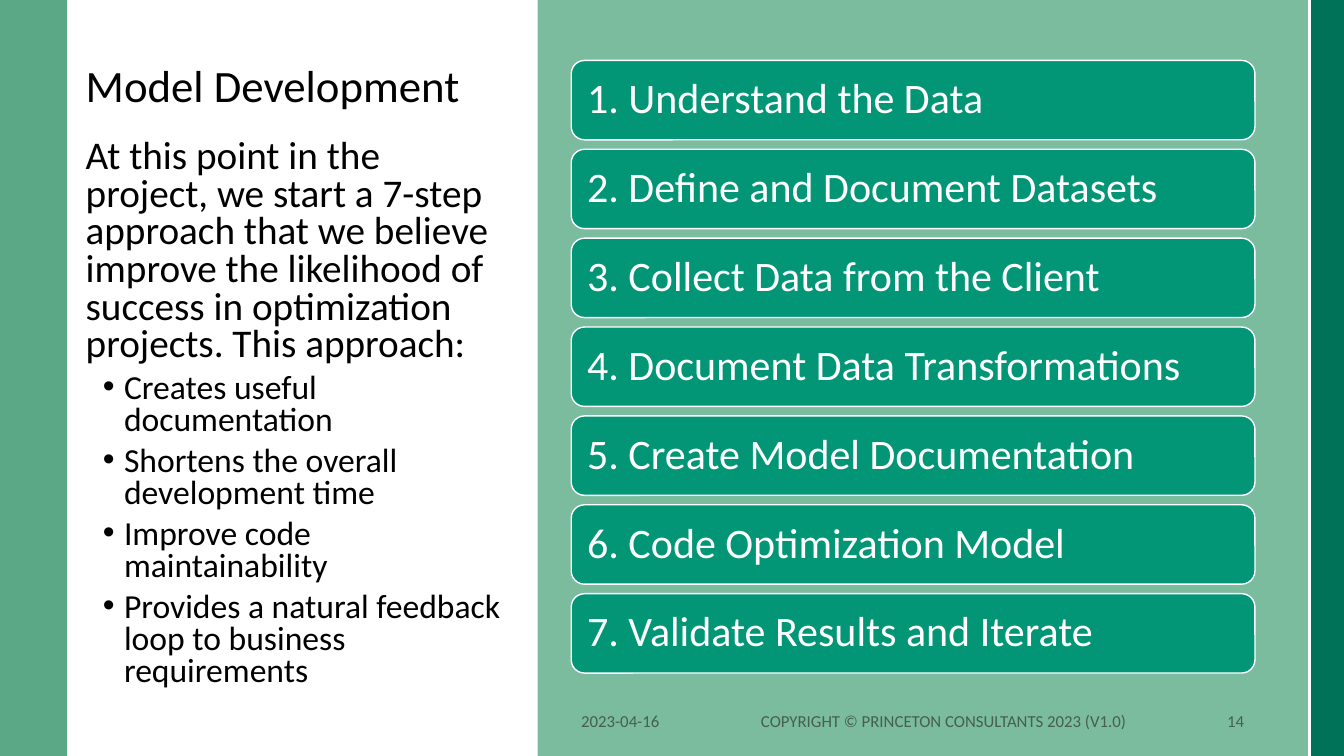
import pptx
import pptx.util
import pptx.dml.color
import pptx.enum.shapes
import pptx.enum.text
import pptx.oxml.ns
from lxml import etree

SHAPE = pptx.enum.shapes.MSO_SHAPE
ALIGN = pptx.enum.text.PP_ALIGN
ANCHOR = pptx.enum.text.MSO_ANCHOR
QN = pptx.oxml.ns.qn

INTRO = ("At this point in the project, we start a 7-step approach that we believe "
         "improve the likelihood of success in optimization projects. This approach:")
BENEFITS = [
    "Creates useful documentation",
    "Shortens the overall development time",
    "Improve code maintainability",
    "Provides a natural feedback loop to business requirements",
]
STEPS = [
    "Understand the Data",
    "Define and Document Datasets",
    "Collect Data from the Client",
    "Document Data Transformations",
    "Create Model Documentation",
    "Code Optimization Model",
    "Validate Results and Iterate",
]


def rgb(value):
    return pptx.dml.color.RGBColor.from_string(value)


def apply(target, values):
    for key, value in values.items():
        setattr(target, key, value)


class Deck:
    COLUMNS, ROWS = 160, 90
    FONT = "Calibri"
    INK, WHITE, MUTED = "000000", "FFFFFF", "455F51"
    EDGE, DARK, PANEL, STEP = "4A9F7B", "007257", "7BBB9E", "029676"

    def __init__(self):
        self.presentation = pptx.Presentation()
        apply(self.presentation, {"slide_width": pptx.util.Inches(13.33),
                                  "slide_height": pptx.util.Inches(7.5)})
        self.slide = self.presentation.slides.add_slide(self.presentation.slide_layouts[1])

    def x(self, columns):
        return round(self.presentation.slide_width * columns / self.COLUMNS)

    def y(self, rows):
        return round(self.presentation.slide_height * rows / self.ROWS)

    def box(self, left, top, width, height):
        return self.x(left), self.y(top), self.x(width), self.y(height)

    def add_words(self, paragraph, words, size, color, **layout):
        apply(paragraph, layout)
        run = paragraph.add_run()
        run.text = words
        apply(run.font, {"name": self.FONT, "size": pptx.util.Pt(size)})
        run.font.color.rgb = rgb(color)

    def band(self, left, width, color, opacity=100):
        band = self.slide.shapes.add_shape(SHAPE.RECTANGLE, *self.box(left, 0, width, self.ROWS))
        band.shadow.inherit = False
        band.fill.solid()
        band.fill.fore_color.rgb = rgb(color)
        band.line.fill.background()
        if opacity < 100:
            tint = band._element.spPr.find(".//" + QN("a:srgbClr"))
            etree.SubElement(tint, QN("a:alpha"), val=str(opacity * 1000))

    def divider(self, column):
        rule = self.slide.shapes.add_connector(
            pptx.enum.shapes.MSO_CONNECTOR.STRAIGHT,
            self.x(column), 0, self.x(column), self.y(self.ROWS))
        rule.line.color.rgb = rgb(self.WHITE)
        rule.line.width = pptx.util.Pt(1.5)
        etree.SubElement(rule._element.spPr, QN("a:effectLst"))

    def place(self, holder, area, anchor):
        apply(holder, dict(zip(("left", "top", "width", "height"), self.box(*area))))
        apply(holder.text_frame, {"word_wrap": True, "vertical_anchor": anchor,
                                  "auto_size": pptx.enum.text.MSO_AUTO_SIZE.NONE})
        return holder.text_frame

    def title(self, words, area):
        frame = self.place(self.slide.shapes.title, area, ANCHOR.BOTTOM)
        self.add_words(frame.paragraphs[0], words, 32, self.INK,
                       alignment=ALIGN.LEFT, line_spacing=0.9)

    def bullet(self, paragraph, indent, hanging, mark=None):
        properties = paragraph._p.get_or_add_pPr()
        properties.set("marL", str(pptx.util.Inches(indent)))
        properties.set("indent", str(-pptx.util.Inches(hanging)))
        if mark:
            etree.SubElement(properties, QN("a:buChar"), char=mark)
        else:
            etree.SubElement(properties, QN("a:buNone"))

    def body(self, intro, benefits, area):
        frame = self.place(self.slide.placeholders[1], area, ANCHOR.TOP)
        opening = frame.paragraphs[0]
        self.bullet(opening, 0, 0)
        self.add_words(opening, intro, 28, self.INK,
                       line_spacing=0.8, space_before=pptx.util.Pt(0))
        for benefit in benefits:
            item = frame.add_paragraph()
            item.level = 1
            self.bullet(item, 0.38, 0.21, "•")
            self.add_words(item, benefit, 24, self.INK,
                           line_spacing=0.8, space_before=pptx.util.Pt(6))

    def step(self, words, area):
        step = self.slide.shapes.add_shape(SHAPE.ROUNDED_RECTANGLE, *self.box(*area))
        step.shadow.inherit = False
        step.fill.solid()
        step.fill.fore_color.rgb = rgb(self.STEP)
        step.line.color.rgb = rgb(self.WHITE)
        step.line.width = pptx.util.Pt(1)
        inset = pptx.util.Inches(0.12)
        apply(step.text_frame, {"word_wrap": True, "vertical_anchor": ANCHOR.MIDDLE,
                                "margin_left": inset, "margin_right": inset,
                                "margin_top": inset, "margin_bottom": inset})
        self.add_words(step.text_frame.paragraphs[0], words, 30, self.WHITE,
                       alignment=ALIGN.LEFT, line_spacing=0.9)

    def footer(self, words, left, width, alignment):
        note = self.slide.shapes.add_textbox(*self.box(left, 83.4, width, 4.8))
        apply(note.text_frame, {"word_wrap": True, "vertical_anchor": ANCHOR.MIDDLE})
        self.add_words(note.text_frame.paragraphs[0], words, 12, self.MUTED,
                       alignment=alignment)


def main():
    deck = Deck()
    deck.band(0, 8, deck.EDGE, opacity=90)
    deck.band(156, 4, deck.DARK)
    deck.band(64, 92, deck.PANEL)
    deck.divider(155.9)
    deck.title("Model Development", (9, 5, 54, 9))
    deck.body(INTRO, BENEFITS, (9, 16, 52, 67))
    for index, step in enumerate(STEPS):
        deck.step(f"{index + 1}. {step}", (68, 7.2 + 10.58 * index, 81.4, 9.45))
    deck.footer("2023-04-16", 68, 16, ALIGN.LEFT)
    deck.footer("COPYRIGHT © PRINCETON CONSULTANTS 2023 (V1.0)", 86, 52.7, ALIGN.CENTER)
    deck.footer("14", 141.3, 8, ALIGN.RIGHT)
    deck.presentation.save("out.pptx")


if __name__ == "__main__":
    main()
